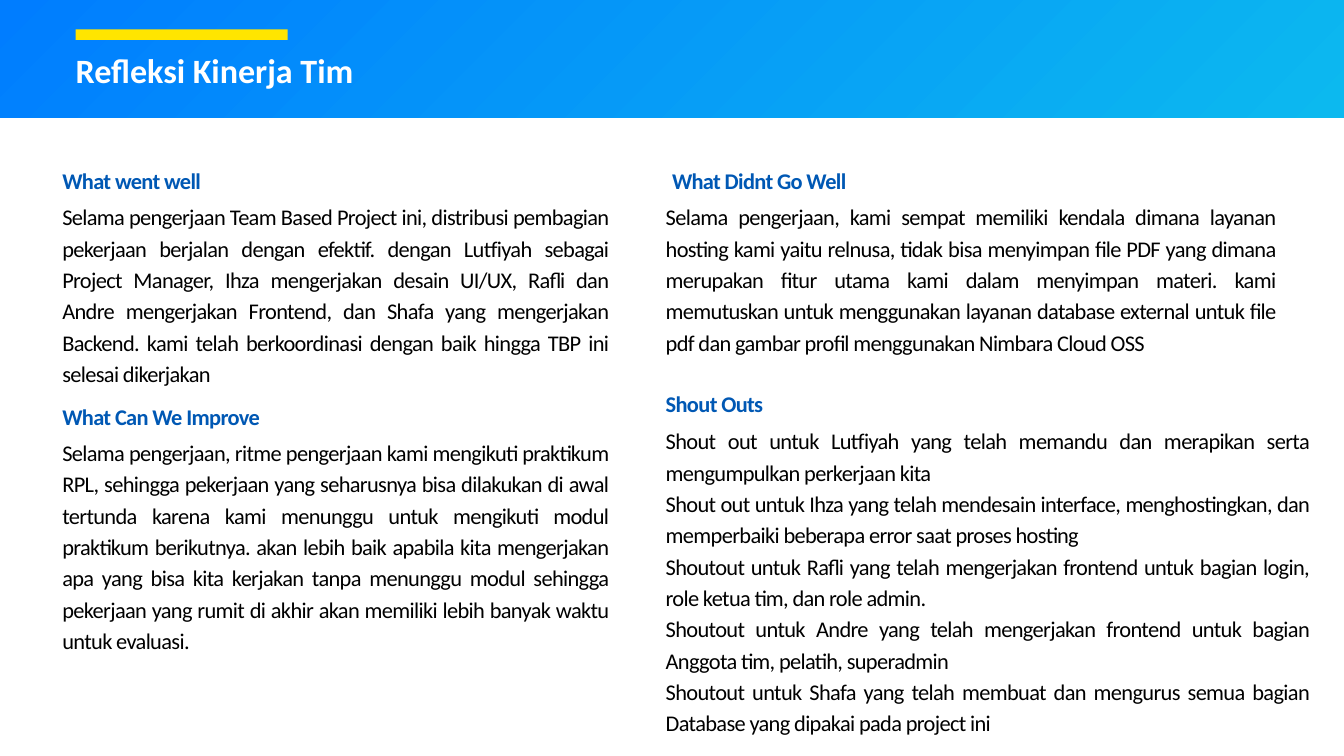
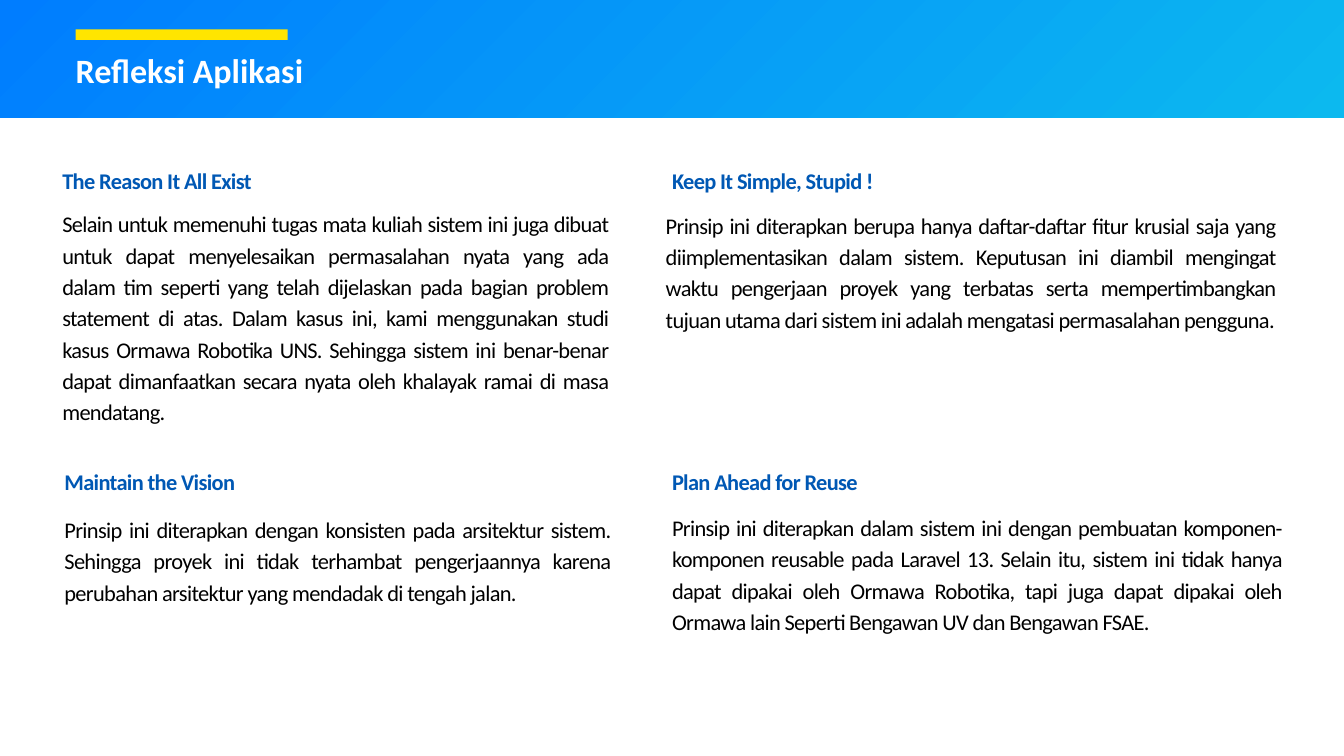
from pptx import Presentation
from pptx.dml.color import RGBColor
from pptx.enum.shapes import MSO_SHAPE
from pptx.enum.text import MSO_ANCHOR, MSO_AUTO_SIZE, PP_ALIGN
from pptx.util import Emu, Pt

RECTANGLE = MSO_SHAPE.RECTANGLE
TOP = MSO_ANCHOR.TOP
GROW = MSO_AUTO_SIZE.SHAPE_TO_FIT_TEXT
LEFT, JUSTIFY = PP_ALIGN.LEFT, PP_ALIGN.JUSTIFY
PX = 9525  # EMU per px, 96 px to the inch


def color(hex_string):
    return RGBColor.from_string(hex_string)


def write_text(shape, box, paragraphs, style):
    """Place a text shape and fill it with equally formatted paragraphs."""
    shape.left, shape.top, shape.width, shape.height = [Emu(value * PX) for value in box]
    frame = shape.text_frame
    frame_format = {"margin_left": 0, "margin_top": 0, "margin_right": 0, "margin_bottom": 0,
                    "word_wrap": True, "vertical_anchor": TOP, "auto_size": GROW}
    for name, value in frame_format.items():
        setattr(frame, name, value)
    for index, text in enumerate(paragraphs):
        paragraph = frame.paragraphs[0] if index == 0 else frame.add_paragraph()
        paragraph.alignment = style["alignment"]
        paragraph.line_spacing = Pt(style["line"])
        run = paragraph.add_run()
        run.text = text
        for name, value in style["font"].items():
            setattr(run.font, name, value)
        run.font.color.rgb = color(style["color"])
        if "spacing" in style:
            run._r.get_or_add_rPr().set("spc", style["spacing"])


# Shared text styles
TITLE = {"alignment": LEFT, "line": 51.2, "color": "FFFFFF",
         "font": {"name": "Calibri", "size": Pt(36.5), "bold": True}}
BODY = {"alignment": JUSTIFY, "line": 33.6, "color": "000000", "spacing": "-70",
        "font": {"name": "Calibri", "size": Pt(24), "bold": False}}
HEADING = {**BODY, "color": "0058B4", "font": {**BODY["font"], "bold": True}}

# Each section: heading, heading box, body box, body paragraphs
SLIDES = [
    ("Refleksi Kinerja Tim", [
        ("What went well", (89, 232, 949, 43), (89, 284, 780, 264), [
            "Selama pengerjaan Team Based Project ini, distribusi pembagian pekerjaan berjalan "
            "dengan efektif. dengan Lutfiyah sebagai Project Manager, Ihza mengerjakan desain "
            "UI/UX, Rafli dan Andre mengerjakan Frontend, dan Shafa yang mengerjakan Backend. "
            "kami telah berkoordinasi dengan baik hingga TBP ini selesai dikerjakan"]),
        ("What Didnt Go Well", (960, 232, 949, 43), (951, 284, 871, 220), [
            "Selama pengerjaan, kami sempat memiliki kendala dimana layanan hosting kami yaitu "
            "relnusa, tidak bisa menyimpan file PDF yang dimana merupakan fitur utama kami dalam "
            "menyimpan materi. kami memutuskan untuk menggunakan layanan database external untuk "
            "file pdf dan gambar profil menggunakan Nimbara Cloud OSS"]),
        ("What Can We Improve", (89, 570, 949, 43), (89, 621, 780, 307), [
            "Selama pengerjaan, ritme pengerjaan kami mengikuti praktikum RPL, sehingga pekerjaan "
            "yang seharusnya bisa dilakukan di awal tertunda karena kami menunggu untuk mengikuti "
            "modul praktikum berikutnya. akan lebih baik apabila kita mengerjakan apa yang bisa "
            "kita kerjakan tanpa menunggu modul sehingga pekerjaan yang rumit di akhir akan "
            "memiliki lebih banyak waktu untuk evaluasi."]),
        ("Shout Outs", (951, 551, 949, 43), (951, 604, 919, 440), [
            "Shout out untuk Lutfiyah yang telah memandu dan merapikan serta mengumpulkan "
            "perkerjaan kita",
            "Shout out untuk Ihza yang telah mendesain interface, menghostingkan, dan memperbaiki "
            "beberapa error saat proses hosting",
            "Shoutout untuk Rafli yang telah mengerjakan frontend untuk bagian login, role ketua "
            "tim, dan role admin.",
            "Shoutout untuk Andre yang telah mengerjakan frontend untuk bagian Anggota tim, "
            "pelatih, superadmin",
            "Shoutout untuk Shafa yang telah membuat dan mengurus semua bagian Database yang "
            "dipakai pada project ini"]),
    ]),
    ("Refleksi Aplikasi", [
        ("The Reason It All Exist", (89, 232, 949, 43), (89, 294, 780, 351), [
            "Selain untuk memenuhi tugas mata kuliah sistem ini juga dibuat untuk dapat "
            "menyelesaikan permasalahan nyata yang ada dalam tim seperti yang telah dijelaskan "
            "pada bagian problem statement di atas. Dalam kasus ini, kami menggunakan studi kasus "
            "Ormawa Robotika UNS. Sehingga sistem ini benar-benar dapat dimanfaatkan secara nyata "
            "oleh khalayak ramai di masa mendatang."]),
        ("Keep It Simple, Stupid !", (960, 232, 949, 43), (951, 296, 871, 264), [
            "Prinsip ini diterapkan berupa hanya daftar-daftar fitur krusial saja yang "
            "diimplementasikan dalam sistem. Keputusan ini diambil mengingat waktu pengerjaan "
            "proyek yang terbatas serta mempertimbangkan tujuan utama dari sistem ini adalah "
            "mengatasi permasalahan pengguna."]),
        ("Maintain the Vision", (92, 663, 949, 87), (92, 731, 780, 220), [
            "Prinsip ini diterapkan dengan konsisten pada arsitektur sistem. Sehingga proyek ini "
            "tidak terhambat pengerjaannya karena perubahan arsitektur yang mendadak di tengah "
            "jalan."]),
        ("Plan Ahead for Reuse", (960, 663, 949, 87), (960, 728, 871, 264), [
            "Prinsip ini diterapkan dalam sistem ini dengan pembuatan komponen-komponen reusable "
            "pada Laravel 13. Selain itu, sistem ini tidak hanya dapat dipakai oleh Ormawa "
            "Robotika, tapi juga dapat dipakai oleh Ormawa lain Seperti Bengawan UV dan Bengawan "
            "FSAE."]),
    ]),
]

presentation = Presentation()
presentation.slide_width = Emu(1920 * PX)
presentation.slide_height = Emu(1080 * PX)
title_only = presentation.slide_layouts[5]

for title_text, sections in SLIDES:
    slide = presentation.slides.add_slide(title_only)
    title = slide.shapes.title

    # Header band and accent bar, placed behind the title
    band, accent = [
        slide.shapes.add_shape(RECTANGLE, *[Emu(value * PX) for value in box])
        for box in ((0, 0, 1920, 168), (108, 42, 303, 15))]
    for shape in (band, accent):
        shape.shadow.inherit = False
        shape.line.fill.background()
        title.element.addprevious(shape.element)
    band.fill.gradient()
    band.fill.gradient_angle = 315
    for stop, hex_string in zip(band.fill.gradient_stops, ("007DFF", "0CB9EF")):
        stop.color.rgb = color(hex_string)
    accent.fill.solid()
    accent.fill.fore_color.rgb = color("FFE500")

    write_text(title, (108, 61, 1428, 66), [title_text], TITLE)

    # Reflection sections
    for heading, heading_box, body_box, paragraphs in sections:
        for box, texts, style in ((heading_box, [heading], HEADING), (body_box, paragraphs, BODY)):
            write_text(slide.shapes.add_textbox(0, 0, 0, 0), box, texts, style)

presentation.save("out.pptx")
